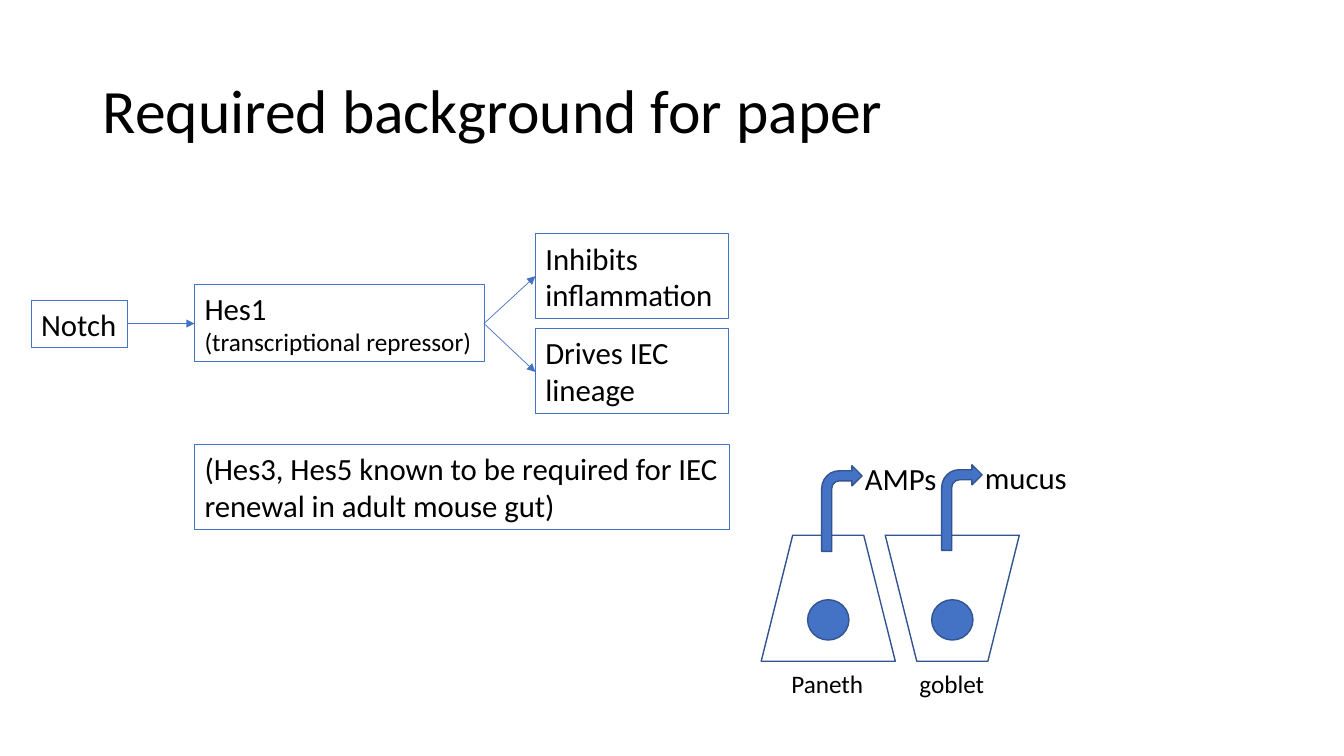
from dataclasses import dataclass

from lxml import etree
from pptx import Presentation
from pptx.dml.color import RGBColor
from pptx.enum.shapes import MSO_CONNECTOR, MSO_SHAPE
from pptx.enum.text import MSO_ANCHOR, PP_ALIGN
from pptx.oxml.ns import qn
from pptx.shapes.autoshape import Shape
from pptx.slide import Slide
from pptx.util import Inches, Pt

RECT, OVAL = MSO_SHAPE.RECTANGLE, MSO_SHAPE.OVAL
TRAP, BENT = MSO_SHAPE.TRAPEZOID, MSO_SHAPE.BENT_ARROW
LINE = MSO_CONNECTOR.STRAIGHT
LEFT, MIDDLE = PP_ALIGN.LEFT, MSO_ANCHOR.MIDDLE


@dataclass(frozen=True)
class Theme:
    font: str = "Calibri"
    ink: RGBColor = RGBColor(0x00, 0x00, 0x00)
    blue: RGBColor = RGBColor(0x44, 0x72, 0xC4)
    edge: RGBColor = RGBColor(0x32, 0x54, 0x91)
    title: int = 44
    body: int = 22
    small: int = 18


THEME = Theme()


@dataclass(frozen=True)
class Area:
    left: float
    top: float
    width: float
    height: float

    def inches(self) -> tuple[Inches, ...]:
        return tuple(map(Inches, (self.left, self.top, self.width, self.height)))


@dataclass(frozen=True)
class Line:
    text: str
    size: int = THEME.body


@dataclass(frozen=True)
class Box:
    area: Area
    lines: tuple[Line, ...]
    wrap: bool = True


@dataclass(frozen=True)
class Arrow:
    start: tuple[float, float]
    end: tuple[float, float]


@dataclass(frozen=True)
class Cell:
    left: float
    turn: int
    name: Box
    arrow: Area
    output: Box


TITLE = Box(Area(0.92, 0.4, 11.5, 1.45),
            (Line("Required background for paper", THEME.title),))

BOXES = (
    Box(Area(0.31, 2.98, 0.96, 0.47), (Line("Notch"),), False),
    Box(Area(1.93, 2.82, 2.88, 0.77),
        (Line("Hes1"), Line("(transcriptional repressor)", THEME.small)), False),
    Box(Area(5.31, 2.32, 1.92, 0.84), (Line("Inhibits inflammation"),)),
    Box(Area(5.31, 3.26, 1.92, 0.84), (Line("Drives IEC lineage"),)),
    Box(Area(1.93, 4.41, 5.31, 0.84),
        (Line("(Hes3, Hes5 known to be required for IEC renewal in adult mouse gut)"),)),
)

ARROWS = (
    Arrow((1.27, 3.21), (1.93, 3.21)),
    Arrow((4.8, 3.21), (5.31, 2.74)),
    Arrow((4.8, 3.21), (5.31, 3.69)),
)

CELLS = (
    Cell(7.55, 0,
         Box(Area(7.75, 6.58, 0.92, 0.4), (Line("Paneth", THEME.small),), False),
         Area(8.15, 4.62, 0.4, 0.85),
         Box(Area(8.48, 4.51, 0.92, 0.47), (Line("AMPs"),), False)),
    Cell(8.78, 180,
         Box(Area(9.02, 6.58, 0.85, 0.4), (Line("goblet", THEME.small),), False),
         Area(9.34, 4.61, 0.4, 0.85),
         Box(Area(9.67, 4.5, 1.02, 0.47), (Line("mucus"),), False)),
)


def write(shape: Shape, box: Box) -> None:
    frame = shape.text_frame
    frame.word_wrap = box.wrap
    frame.text = "\n".join(line.text for line in box.lines)
    for para, line in zip(frame.paragraphs, box.lines):
        para.alignment = LEFT
        para.font.name = THEME.font
        para.font.size = Pt(line.size)
        para.font.color.rgb = THEME.ink


def add_text(slide: Slide, box: Box) -> Shape:
    shape = slide.shapes.add_textbox(*box.area.inches())
    write(shape, box)
    return shape


def add_form(slide: Slide, kind: MSO_SHAPE, area: Area, edge: RGBColor,
             weight: float, fill: RGBColor | None = None) -> Shape:
    shape = slide.shapes.add_shape(kind, *area.inches())
    shape.shadow.inherit = False
    shape.line.color.rgb = edge
    shape.line.width = Pt(weight)
    if fill is None:
        shape.fill.background()
    else:
        shape.fill.solid()
        shape.fill.fore_color.rgb = fill
    return shape


def add_arrow(slide: Slide, arrow: Arrow) -> None:
    ends = map(Inches, arrow.start + arrow.end)
    link = slide.shapes.add_connector(LINE, *ends)
    link.line.color.rgb = THEME.blue
    link.line.width = Pt(0.5)
    etree.SubElement(link.line._get_or_add_ln(), qn("a:tailEnd"), type="triangle")
    etree.SubElement(link._element.spPr, qn("a:effectLst"))


def add_cell(slide: Slide, cell: Cell) -> None:
    """Draw a gut cell with its nucleus, name and secreted product."""
    body = add_form(slide, TRAP, Area(cell.left, 5.31, 1.33, 1.25), THEME.edge, 1)
    body.rotation = cell.turn
    core = Area(cell.left + 0.46, 5.95, 0.41, 0.4)
    add_form(slide, OVAL, core, THEME.edge, 1, THEME.blue)
    add_text(slide, cell.name)
    add_form(slide, BENT, cell.arrow, THEME.edge, 1, THEME.blue)
    add_text(slide, cell.output)


def main() -> None:
    deck = Presentation()
    deck.slide_width, deck.slide_height = Inches(13.33), Inches(7.5)
    slide = deck.slides.add_slide(deck.slide_layouts[6])

    title = add_text(slide, TITLE)
    title.text_frame.vertical_anchor = MIDDLE
    title.text_frame.paragraphs[0].line_spacing = 0.9
    for box in BOXES:
        write(add_form(slide, RECT, box.area, THEME.blue, 0.75), box)
    for arrow in ARROWS:
        add_arrow(slide, arrow)
    for cell in CELLS:
        add_cell(slide, cell)

    deck.save("out.pptx")


if __name__ == "__main__":
    main()
